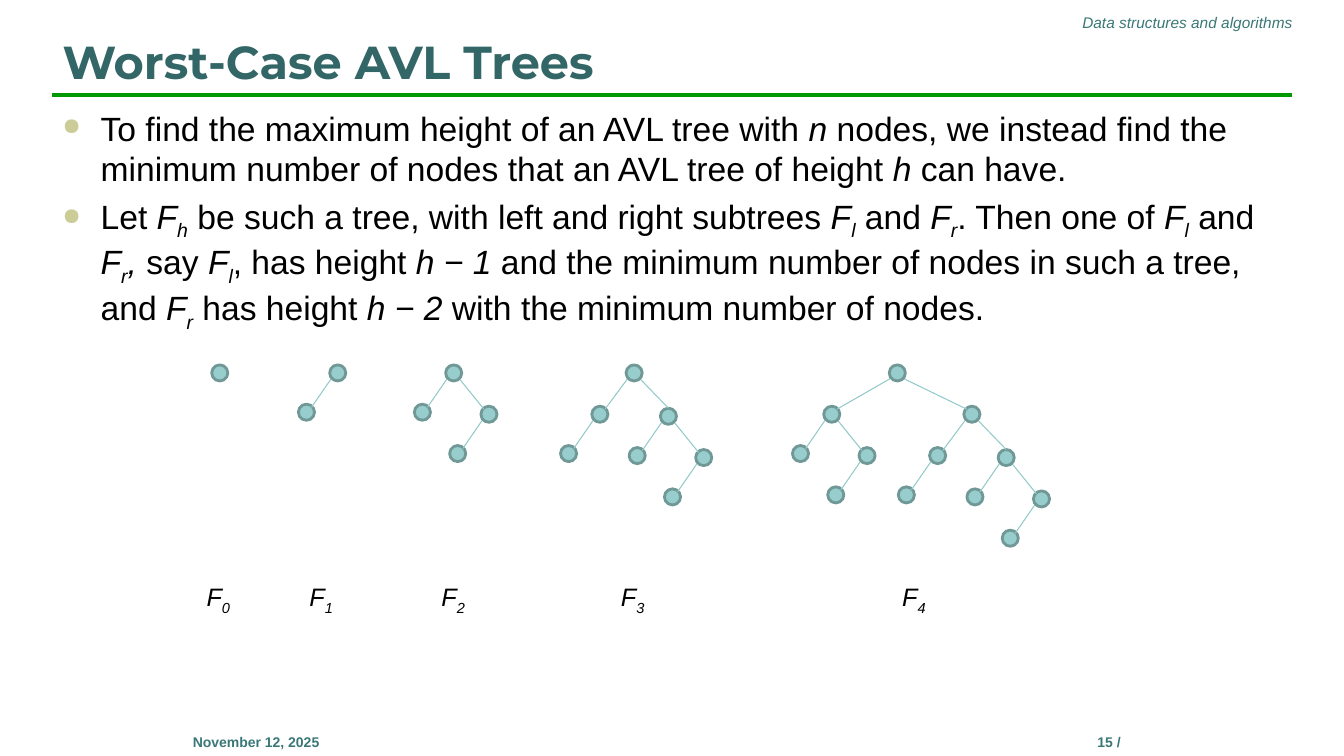
from lxml.etree import SubElement
from pptx import Presentation
from pptx.dml.color import RGBColor
from pptx.enum.shapes import MSO_CONNECTOR as Connector, MSO_SHAPE as Shape
from pptx.enum.text import MSO_ANCHOR as Anchor, MSO_AUTO_SIZE as AutoSize, PP_ALIGN as Align
from pptx.oxml.ns import qn
from pptx.util import Pt

PX = 9144  # 100 px to the inch

COLORS = {"title": "336666", "rule": "009900", "margin": "3A7877", "text": "000000",
          "bullet": "CCCC99", "node": "97CDCC", "ring": "709897", "edge": "92CAC9"}

# Asterisks enclose italics; inside them an underscore starts a subscript
TITLE = "Worst-Case AVL Trees"
BODY = [
    "To find the maximum height of an AVL tree with *n* nodes, we instead find the "
    "minimum number of nodes that an AVL tree of height *h* can have.",
    "Let *F_h* be such a tree, with left and right subtrees *F_l* and *F_r*. "
    "Then one of *F_l* and *F_r**,* say *F_l*, has height *h − 1* and the minimum number "
    "of nodes in such a tree, and *F_r* has height *h − 2* with the minimum number of nodes.",
]
# text, box, size, alignment, bold, italic
MARGIN_TEXTS = [
    ("Data structures and algorithms", (563, 8, 729, 29), 11, Align.RIGHT, False, True),
    ("15 /", (950, 723, 300, 50), 10, Align.CENTER, True, False),
    ("November 12, 2025", (104, 723, 300, 50), 10, Align.CENTER, True, False),
]
# Root left and label left for the trees of height 0, 1, 2, ...
TREES = [(210, 195), (327, 297), (442, 428), (621, 606), (882, 885)]
ROOT_TOP, LABEL_TOP = 362, 572
NODE = 16
# Offsets from a root of each height to its children
LEFT_CHILD = {1: (-31, 39), 2: (-31, 39), 3: (-34, 41), 4: (-65, 41)}
RIGHT_CHILD = {2: (35, 41), 3: (34, 43), 4: (74, 41)}
# Where edges leave a node and enter the next, from the node's corner
LEFT_EDGE = ((2, 13), (13, 3))
RIGHT_EDGE = ((13, 13), (3, 3))
STEEP_EDGE = ((13, 13), (8, 0))

deck = Presentation()
deck.slide_width, deck.slide_height = 1333 * PX, 750 * PX
page = deck.slides.add_slide(deck.slide_layouts[5])


def color(name):
    return RGBColor.from_string(COLORS[name])


def style(para, size, name, bold=False, italic=None, face="Arial"):
    font = para.font
    font.size, font.name, font.bold, font.italic = Pt(size), face, bold, italic
    font.color.rgb = color(name)


def add_text_box(left, top, width, height, wrap=True):
    box = page.shapes.add_textbox(*(n * PX for n in (left, top, width, height)))
    box.text_frame.word_wrap = wrap
    return box.text_frame


def add_marked_text(para, marked):
    for index, part in enumerate(marked.split("*")):
        italic = index % 2 == 1
        for depth, text in enumerate(part.split("_")):
            if text:
                span = para.add_run()
                span.text = text
                span.font.italic = italic
                if depth:
                    span.font._element.set("baseline", "-25000")


def add_line(start, end, name, width):
    line = page.shapes.add_connector(Connector.STRAIGHT, *(n * PX for n in (*start, *end)))
    line.line.color.rgb = color(name)
    line.line.width = Pt(width)
    SubElement(line._element.spPr, qn("a:effectLst"))


def add_bullet(para):
    props = para._p.get_or_add_pPr()
    props.set("marL", str(38 * PX))
    props.set("indent", str(-38 * PX))
    SubElement(SubElement(props, qn("a:buClr")), qn("a:srgbClr"), val=COLORS["bullet"])
    SubElement(props, qn("a:buSzPct"), val="70000")
    SubElement(props, qn("a:buChar"), char="●")


def add_tree(height, left, top):
    """Draw a minimal AVL tree: subtrees of height - 2 and height - 1 under a root."""
    right_edge = STEEP_EDGE if height == 3 else RIGHT_EDGE
    for offsets, subtree, (leave, enter) in (
            (LEFT_CHILD, max(height - 2, 0), LEFT_EDGE),
            (RIGHT_CHILD, height - 1, right_edge)):
        if height in offsets:
            across, down = offsets[height]
            child_left, child_top = left + across, top + down
            add_tree(subtree, child_left, child_top)
            add_line((left + leave[0], top + leave[1]),
                     (child_left + enter[0], child_top + enter[1]), "edge", 0.75)
    node = page.shapes.add_shape(Shape.OVAL, left * PX, top * PX, NODE * PX, NODE * PX)
    node.shadow.inherit = False
    node.fill.solid()
    node.fill.fore_color.rgb = color("node")
    node.line.color.rgb = color("ring")
    node.line.width = Pt(2)


# Rule, header and footer
add_line((52, 94), (1281, 94), "rule", 3)
for text, place, size, align, bold, italic in MARGIN_TEXTS:
    para = add_text_box(*place).paragraphs[0]
    para.text, para.alignment = text, align
    style(para, size, "margin", bold, italic)

# Title
title = page.shapes.title
title.left, title.top, title.width, title.height = (n * PX for n in (52, 23, 1229, 70))
title.text_frame.text = TITLE
title.text_frame.vertical_anchor = Anchor.BOTTOM
title.text_frame.auto_size = AutoSize.NONE
title.text_frame.paragraphs[0].alignment = Align.LEFT
style(title.text_frame.paragraphs[0], 33, "title", bold=True, face="Montserrat")

# Bulleted text
body = add_text_box(52, 102, 1229, 609)
for index, marked in enumerate(BODY):
    para = body.add_paragraph() if index else body.paragraphs[0]
    para.space_before = Pt(5)
    add_bullet(para)
    style(para, 24, "text")
    add_marked_text(para, marked)

# Trees and their labels
for height, (root_left, label_left) in enumerate(TREES):
    add_tree(height, root_left, ROOT_TOP)
    label = add_text_box(label_left, LABEL_TOP, 45, 40, wrap=False)
    label.auto_size = AutoSize.SHAPE_TO_FIT_TEXT
    style(label.paragraphs[0], 18, "text")
    add_marked_text(label.paragraphs[0], f"*F_{height}*")

deck.save("out.pptx")
